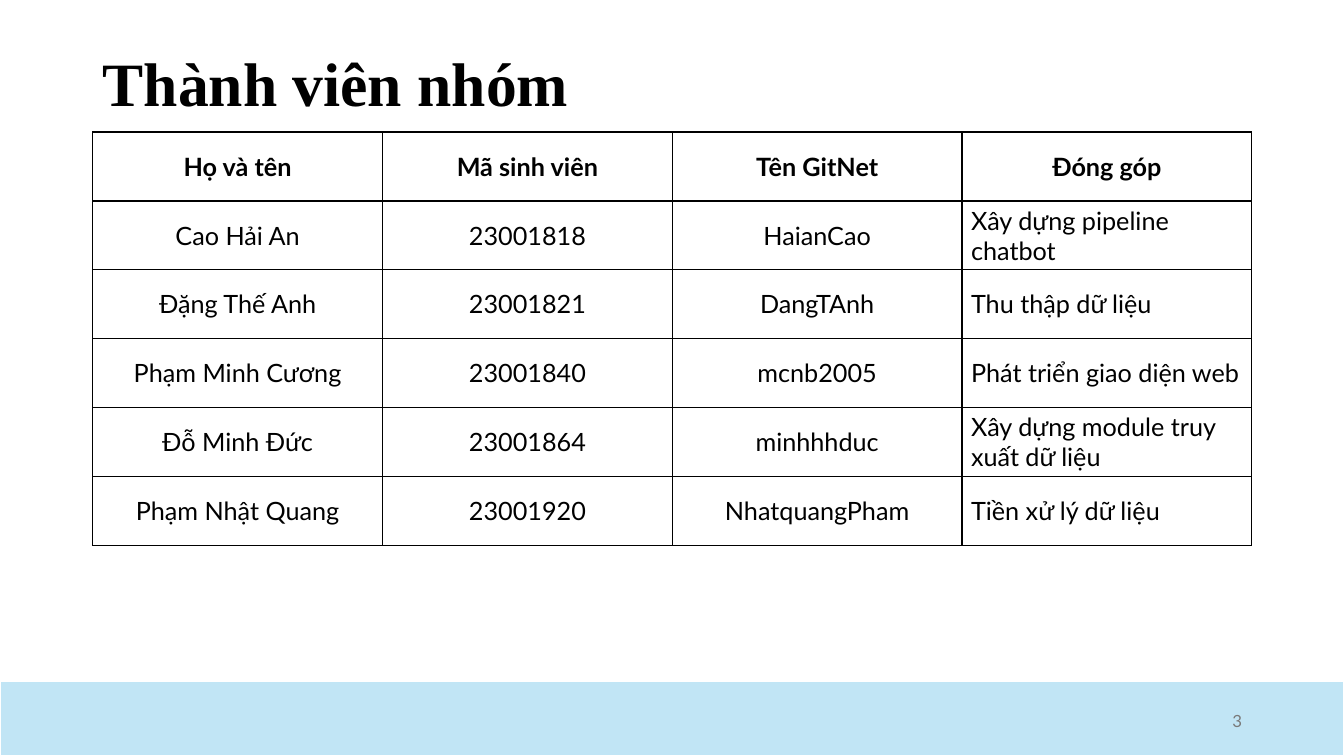
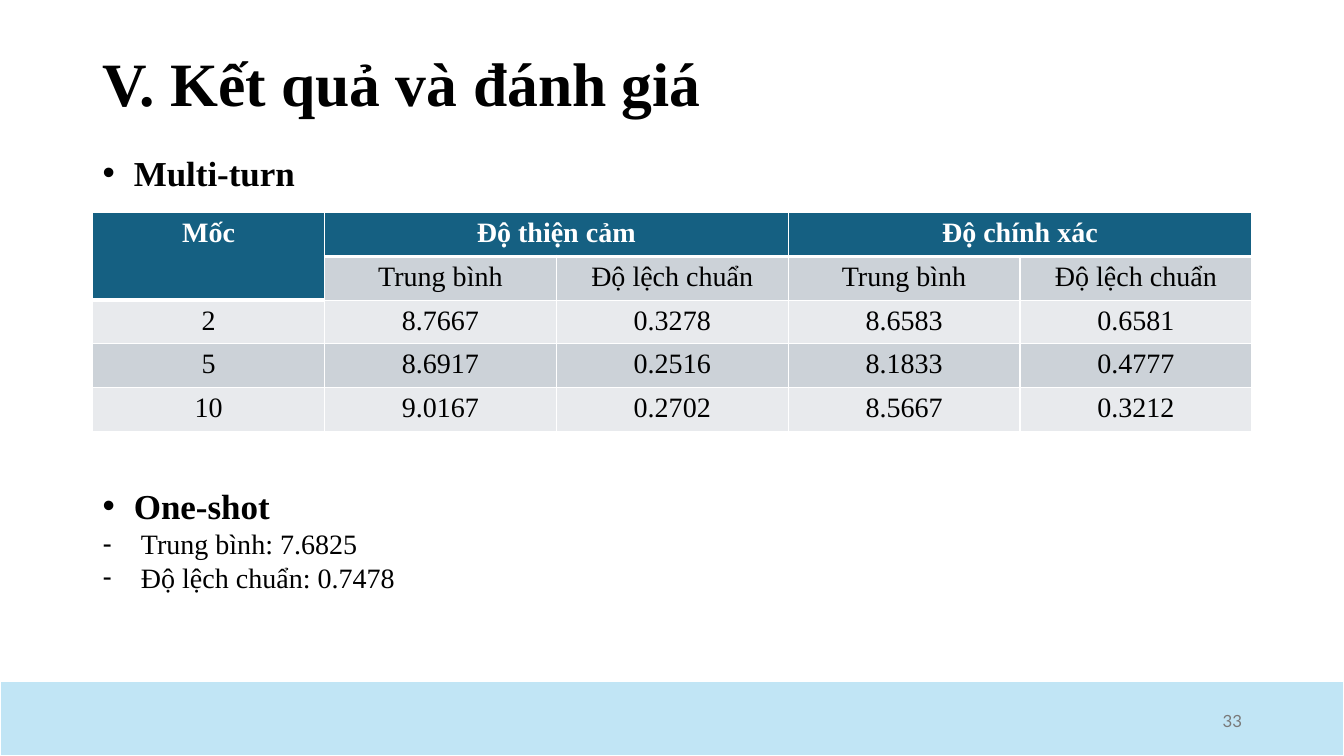
from lxml import etree
from pptx import Presentation
from pptx.dml.color import RGBColor
from pptx.enum.shapes import MSO_SHAPE
from pptx.enum.text import MSO_ANCHOR, MSO_AUTO_SIZE, PP_ALIGN
from pptx.oxml.ns import qn
from pptx.util import Inches, Pt

LEFT, CENTER, RIGHT = PP_ALIGN.LEFT, PP_ALIGN.CENTER, PP_ALIGN.RIGHT
TOP, MIDDLE = MSO_ANCHOR.TOP, MSO_ANCHOR.MIDDLE
GROW = MSO_AUTO_SIZE.SHAPE_TO_FIT_TEXT
RECT = MSO_SHAPE.RECTANGLE

C = {
    "black": "000000",
    "white": "FFFFFF",
    "band": "C1E5F5",
    "number": "797979",
    "header": "156082",
    "dark_row": "CCD2D8",
    "light_row": "E8EAED",
}
SERIF, SANS = "Times New Roman", "Lato"
TITLE_ONLY = 5
W, H = Inches(13.33), Inches(7.5)
X, CONTENT = 6.9, 86.25

MEMBERS = [
    ["Họ và tên", "Mã sinh viên", "Tên GitNet", "Đóng góp"],
    ["Cao Hải An", "23001818", "HaianCao", "Xây dựng pipeline chatbot"],
    ["Đặng Thế Anh", "23001821", "DangTAnh", "Thu thập dữ liệu"],
    ["Phạm Minh Cương", "23001840", "mcnb2005", "Phát triển giao diện web"],
    ["Đỗ Minh Đức", "23001864", "minhhhduc", "Xây dựng module truy xuất dữ liệu"],
    ["Phạm Nhật Quang", "23001920", "NhatquangPham", "Tiền xử lý dữ liệu"],
]
SCORES = [
    ["Mốc", "Độ thiện cảm", "", "Độ chính xác", ""],
    [""] + ["Trung bình", "Độ lệch chuẩn"] * 2,
    ["2", "8.7667", "0.3278", "8.6583", "0.6581"],
    ["5", "8.6917", "0.2516", "8.1833", "0.4777"],
    ["10", "9.0167", "0.2702", "8.5667", "0.3212"],
]


def rgb(name):
    return RGBColor.from_string(C[name])


def area(x, y, w, h):
    return [round(size * share / 100) for size, share in zip((W, H, W, H), (x, y, w, h))]


def write(p, text, size=20, font=SERIF, color="black", bold=False, align=LEFT):
    p.alignment = align
    r = p.add_run()
    r.text = text
    r.font.size, r.font.name, r.font.bold = Pt(size), font, bold
    r.font.color.rgb = rgb(color)


def set_bullet(p, char, indent):
    pPr = p._p.get_or_add_pPr()
    pPr.set("marL", str(Inches(indent)))
    pPr.set("indent", str(-Inches(indent)))
    etree.SubElement(pPr, qn("a:buFont"), typeface="Arial")
    etree.SubElement(pPr, qn("a:buChar"), char=char)


def set_borders(cell, color, **widths):
    tcPr = cell._tc.get_or_add_tcPr()
    for side in "LRTB":
        ln = etree.SubElement(tcPr, qn("a:ln" + side), w=str(Pt(widths.get(side, 1))))
        fill = etree.SubElement(ln, qn("a:solidFill"))
        etree.SubElement(fill, qn("a:srgbClr"), val=C[color])


def add_band(s, layout):
    band = s.shapes.add_shape(RECT, *area(0, 90.13, 100, 9.87))
    band.shadow.inherit = False
    band.fill.solid()
    band.fill.fore_color.rgb = rgb("band")
    band.line.color.rgb = rgb("white")
    band.line.width = Pt(1.5)
    layout.shapes.element.insert(2, band.element)


def add_title(s, text):
    title = s.shapes.title
    title.left, title.top, title.width, title.height = area(X, 5.33, CONTENT, 12.13)
    tf = title.text_frame
    tf.vertical_anchor, tf.word_wrap = MIDDLE, True
    tf.auto_size = MSO_AUTO_SIZE.NONE
    p = tf.paragraphs[0]
    p.line_spacing = 0.9
    write(p, text, size=44, bold=True)


def add_number(s, number):
    tf = s.shapes.add_textbox(*area(70.65, 92.67, 22.5, 5.33)).text_frame
    tf.word_wrap, tf.vertical_anchor = True, MIDDLE
    write(tf.paragraphs[0], number, size=12, font=SANS, color="number", align=RIGHT)


def add_slide(prs, title, number):
    s = prs.slides.add_slide(prs.slide_layouts[TITLE_ONLY])
    add_title(s, title)
    add_number(s, number)
    return s


def add_grid(s, box, rows):
    tbl = s.shapes.add_table(len(rows), len(rows[0]), *box).table
    tbl.first_row = tbl.horz_banding = False
    return tbl


def fill_cell(cell, text, fill, anchor=TOP, **style):
    cell.fill.solid()
    cell.fill.fore_color.rgb = rgb(fill)
    cell.vertical_anchor = anchor
    if text:
        write(cell.text_frame.paragraphs[0], text, **style)


def member_table(s, box):
    tbl = add_grid(s, box, MEMBERS)
    for i, row in enumerate(MEMBERS):
        for j, text in enumerate(row):
            cell = tbl.cell(i, j)
            cell.margin_left = cell.margin_right = Inches(0.09)
            cell.margin_top = cell.margin_bottom = Inches(0.04)
            set_borders(cell, "black")
            fill_cell(cell, text, "white", MIDDLE, size=18, font=SANS, bold=i == 0,
                      align=LEFT if i and j == 3 else CENTER)


def score_table(s, box):
    tbl = add_grid(s, box, SCORES)
    for first, last in (((0, 0), (1, 0)), ((0, 1), (0, 2)), ((0, 3), (0, 4))):
        tbl.cell(*first).merge(tbl.cell(*last))
    header = {(0, j) for j in range(5)} | {(1, 0)}
    for i, row in enumerate(SCORES):
        for j, text in enumerate(row):
            cell, head = tbl.cell(i, j), (i, j) in header
            set_borders(cell, "white", T=3 if (i - 1, j) in header else 1, B=3 if head else 1)
            fill = "header" if head else "dark_row" if i % 2 else "light_row"
            fill_cell(cell, text, fill, color="white" if head else "black",
                      bold=head, align=CENTER)


def bullet_text(s, box, heading, items=()):
    tf = s.shapes.add_textbox(*box).text_frame
    tf.word_wrap, tf.auto_size = True, GROW
    write(tf.paragraphs[0], heading, size=25, bold=True)
    set_bullet(tf.paragraphs[0], "•", 0.31)
    for item in items:
        p = tf.add_paragraph()
        write(p, item)
        set_bullet(p, "-", 0.38)


def members_slide(prs):
    s = add_slide(prs, "Thành viên nhóm", "3")
    member_table(s, area(X, 17.47, CONTENT, 54.67))
    return s


def results_slide(prs):
    s = add_slide(prs, "V. Kết quả và đánh giá", "33")
    score_table(s, area(X, 28.13, CONTENT, 27.33))
    bullet_text(s, area(X, 19.33, 16.28, 6.93), "Multi-turn")
    bullet_text(s, area(X, 63.47, 35.85, 15.87), "One-shot",
                ["Trung bình: 7.6825", "Độ lệch chuẩn: 0.7478"])


def main():
    prs = Presentation()
    prs.slide_width, prs.slide_height = W, H
    s = members_slide(prs)
    add_band(s, s.slide_layout)
    results_slide(prs)
    prs.save("out.pptx")


if __name__ == "__main__":
    main()
